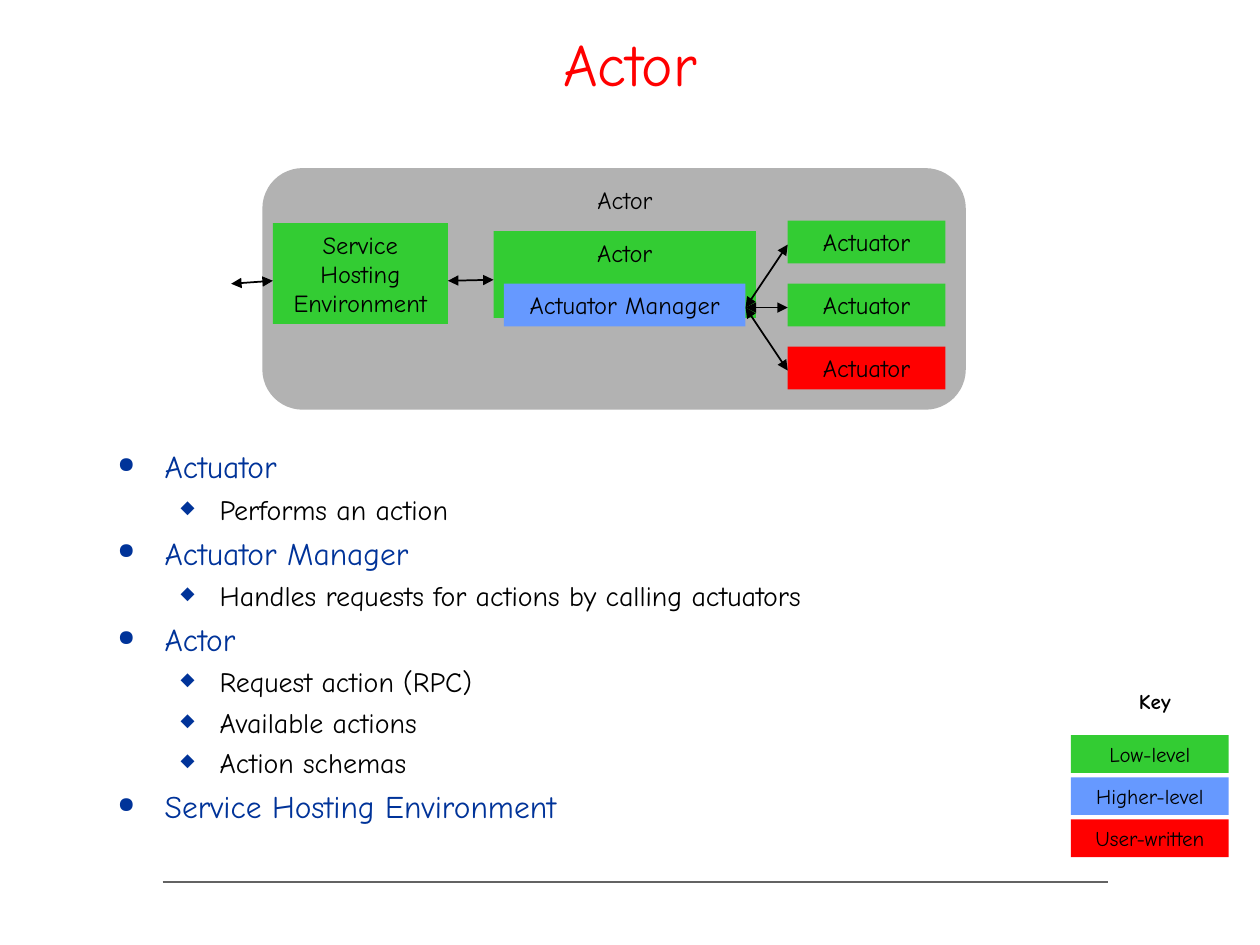
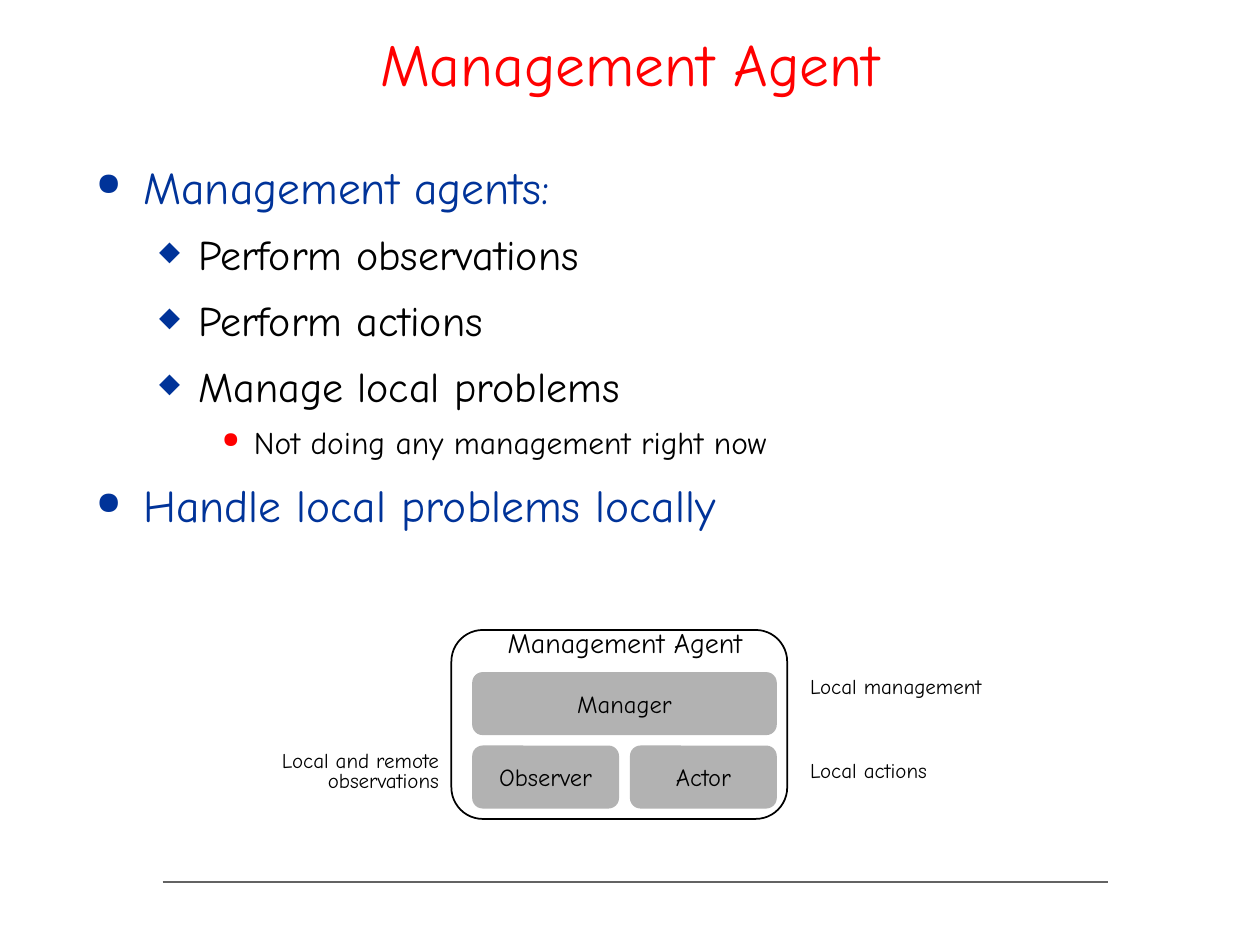
from lxml import etree
from pptx import Presentation
from pptx.dml.color import RGBColor
from pptx.enum import shapes as sh, text as tx
from pptx.oxml import ns
from pptx.util import Cm, Pt

FONT = "Comic Neue"
RED = RGBColor(0xFF, 0x00, 0x00)
GREEN = RGBColor(0x33, 0xCC, 0x33)
BLUE = RGBColor(0x66, 0x99, 0xFF)
NAVY = RGBColor(0x00, 0x33, 0x99)
GRAY = RGBColor(0xB2, 0xB2, 0xB2)
RULE = RGBColor(0x63, 0x63, 0x63)
BLACK = RGBColor(0x00, 0x00, 0x00)

LEFT, MID, RIGHT = tx.PP_ALIGN.LEFT, tx.PP_ALIGN.CENTER, tx.PP_ALIGN.RIGHT
TOP, CENTER, BOTTOM = (tx.MSO_ANCHOR.TOP, tx.MSO_ANCHOR.MIDDLE,
                       tx.MSO_ANCHOR.BOTTOM)
RECT = sh.MSO_SHAPE.RECTANGLE
ROUND = sh.MSO_SHAPE.ROUNDED_RECTANGLE

# Per level: margin and hang in cm, mark, mark colour, mark percent, text colour
LEVELS = [
    (0.95, 0.95, "●", NAVY, 70, NAVY),
    (2.06, 0.79, "◆", NAVY, 65, BLACK),
    (3.18, 0.64, "●", RED, 70, BLACK),
]


def put(par, words, size=14, color=BLACK, bold=False, align=MID, lines=None):
    """Write formatted words into a paragraph."""
    run = par.add_run()
    run.text = words
    font = run.font
    font.name, font.size, font.bold = FONT, Pt(size), bold
    font.color.rgb = color
    par.alignment = align
    if lines:
        par.line_spacing = lines


def setup(frame, anchor):
    frame.word_wrap = True
    frame.vertical_anchor = anchor
    frame.margin_left = frame.margin_right = Cm(0.25)
    frame.margin_top = frame.margin_bottom = Cm(0.13)
    return frame


def label(slide, box, words, anchor=TOP, **style):
    area = slide.shapes.add_textbox(*map(Cm, box))
    put(setup(area.text_frame, anchor).paragraphs[0], words, **style)


def block(slide, box, fill=None, words="", kind=RECT, anchor=TOP, **style):
    """Add a filled box, or an outlined one when there is no fill."""
    item = slide.shapes.add_shape(kind, *map(Cm, box))
    item.shadow.inherit = False
    if fill is None:
        item.fill.background()
        item.line.color.rgb = BLACK
        item.line.width = Pt(1)
    else:
        item.fill.solid()
        item.fill.fore_color.rgb = fill
        item.line.fill.background()
    if words:
        put(setup(item.text_frame, anchor).paragraphs[0], words, **style)


def line(slide, start, end, color=BLACK, width=1, arrows=True):
    item = slide.shapes.add_connector(sh.MSO_CONNECTOR.STRAIGHT,
                                      *map(Cm, (*start, *end)))
    item.line.color.rgb = color
    item.line.width = Pt(width)
    props = item._element.spPr
    etree.SubElement(props, ns.qn("a:effectLst"))
    if arrows:
        for tag in ("a:headEnd", "a:tailEnd"):
            etree.SubElement(item.line._get_or_add_ln(), ns.qn(tag),
                             type="triangle")


def mark(par, level):
    """Give a paragraph its indent and bullet."""
    margin, hang, char, color, scale, _ = LEVELS[level]
    props = par._p.get_or_add_pPr()
    props.set("marL", str(Cm(margin)))
    props.set("indent", str(-Cm(hang)))
    tint = etree.SubElement(props, ns.qn("a:buClr"))
    etree.SubElement(tint, ns.qn("a:srgbClr"), val=str(color))
    etree.SubElement(props, ns.qn("a:buSzPct"), val=str(scale * 1000))
    etree.SubElement(props, ns.qn("a:buChar"), char=char)


def outline(slide, box, items, sizes, gaps, lines=None):
    """Add a bulleted list of (level, words)."""
    area = slide.shapes.add_textbox(*map(Cm, box))
    frame = setup(area.text_frame, TOP)
    for num, (level, words) in enumerate(items):
        par = frame.add_paragraph() if num else frame.paragraphs[0]
        par.level = level
        mark(par, level)
        put(par, words, size=sizes[level], color=LEVELS[level][-1],
            align=LEFT, lines=lines)
        if num:
            par.space_before = Pt(gaps[level])


def start(deck, title):
    """Add a slide with the shared title and footer rule."""
    slide = deck.slides.add_slide(deck.slide_layouts[6])
    line(slide, (3.28, 17.78), (22.33, 17.78), RULE, 1.5, arrows=False)
    label(slide, (1.9, 0, 21.6, 2.12), title, BOTTOM, size=34, color=RED)
    return slide


def flow(slide, x, y):
    """Draw the actor's parts and the links between them."""
    block(slide, (x, y, 14.18, 4.87), GRAY, kind=ROUND)
    label(slide, (x + 5.51, y + 0.21, 3.6, 0.86), "Actor")
    block(slide, (x + 0.21, y + 1.11, 3.53, 2.03), GREEN,
          "Service Hosting Environment")
    block(slide, (x + 4.66, y + 1.27, 5.29, 1.75), GREEN, "Actor")
    block(slide, (x + 4.87, y + 2.33, 4.87, 0.86), BLUE, "Actuator Manager")

    # Actuators, each linked to the manager
    hub = (x + 9.74, y + 2.81)
    for row, fill in enumerate((GREEN, GREEN, RED)):
        top = y + 1.06 + 1.27 * row
        block(slide, (x + 10.59, top, 3.18, 0.86), fill, "Actuator")
        line(slide, hub, (x + 10.59, top + 0.48))

    # Links from outside to the host and on to the actor
    line(slide, (x + 3.74, y + 2.27), (x + 4.66, y + 2.25))
    line(slide, (x - 0.63, y + 2.33), (x + 0.21, y + 2.27))


def key(slide, x, y):
    label(slide, (x + 0.21, y, 2.96, 0.76), "Key", size=12, bold=True)
    kinds = [(GREEN, "Low-level"), (BLUE, "Higher-level"),
             (RED, "User-written")]
    for row, (fill, words) in enumerate(kinds):
        block(slide, (x, y + 1.06 + 0.85 * row, 3.18, 0.76), fill, words,
              size=12)


def agent(slide, x, y):
    """Draw the agent's tiles with notes on both sides."""
    tiles = [(0.42, 0.85, 6.14, "Manager"), (0.42, 2.33, 2.96, "Observer"),
             (3.6, 2.33, 2.96, "Actor")]
    for left, top, width, words in tiles:
        block(slide, (x + left, y + top, width, 1.27), GRAY, words, ROUND,
              CENTER)
    block(slide, (x, y, 6.77, 3.81), kind=ROUND)
    label(slide, (x + 0.64, y - 0.21, 5.72, 0.93), "Management Agent", size=16)

    # Notes
    notes = [(6.98, 0.85, LEFT, "Local management"),
             (6.98, 2.54, LEFT, "Local actions"),
             (-4.66, 2.33, RIGHT, "Local and remote observations")]
    for left, top, align, words in notes:
        label(slide, (x + left, y + top, 4.66, 0.66), words, size=12,
              align=align, lines=0.8)


def main():
    deck = Presentation()
    deck.slide_width, deck.slide_height = Cm(25.4), Cm(19.05)

    # Actor
    slide = start(deck, "Actor")
    flow(slide, 5.29, 3.39)
    outline(slide, (2.12, 8.89, 19.47, 9.1), [
        (0, "Actuator"),
        (1, "Performs an action"),
        (0, "Actuator Manager"),
        (1, "Handles requests for actions by calling actuators"),
        (0, "Actor"),
        (1, "Request action (RPC)"),
        (1, "Available actions"),
        (1, "Action schemas"),
        (0, "Service Hosting Environment"),
    ], sizes=(18, 16), gaps=(4.5, 4))
    key(slide, 21.59, 13.76)

    # Management agent
    slide = start(deck, "Management Agent")
    outline(slide, (1.69, 2.96, 21.59, 10.37), [
        (0, "Management agents:"),
        (1, "Perform observations"),
        (1, "Perform actions"),
        (1, "Manage local problems"),
        (2, "Not doing any management right now"),
        (0, "Handle local problems locally"),
    ], sizes=(26, 24, 18), gaps=(6.5, 6, 4.5), lines=1.1)
    agent(slide, 9.1, 12.7)

    deck.save("out.pptx")


if __name__ == "__main__":
    main()
